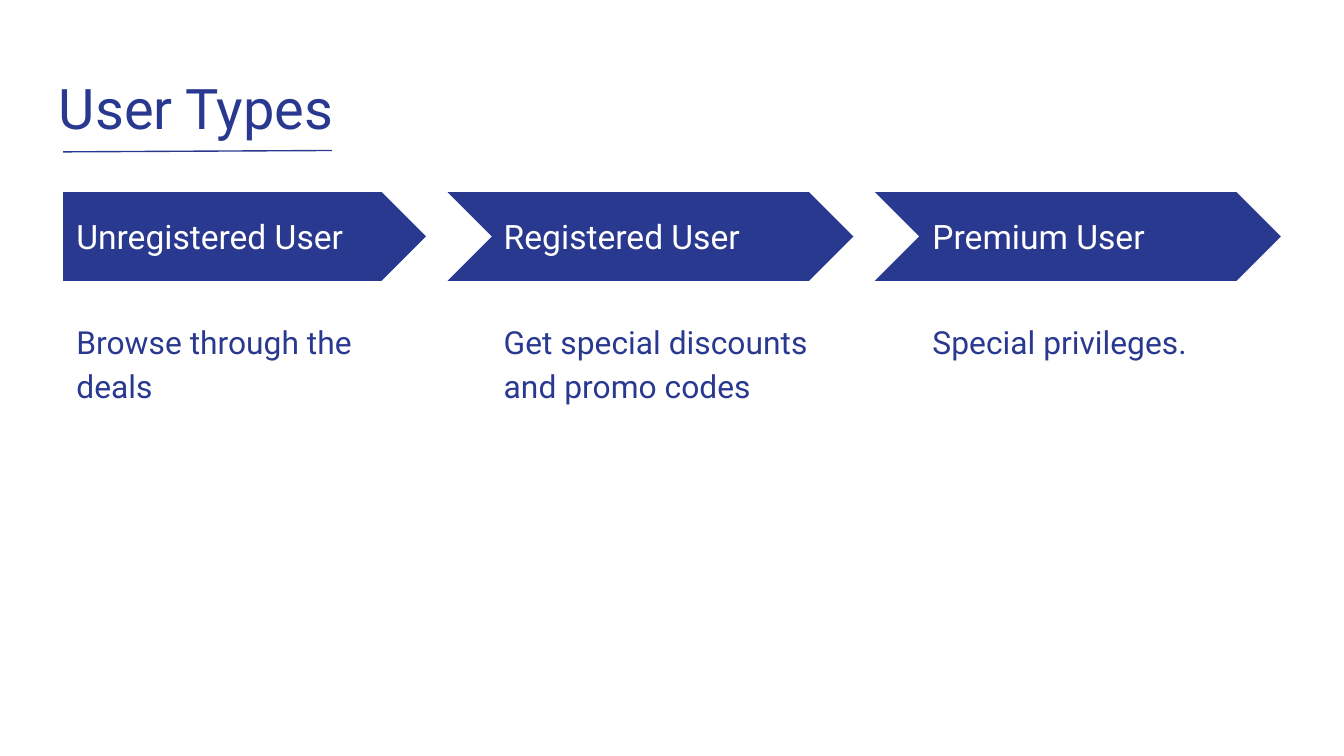
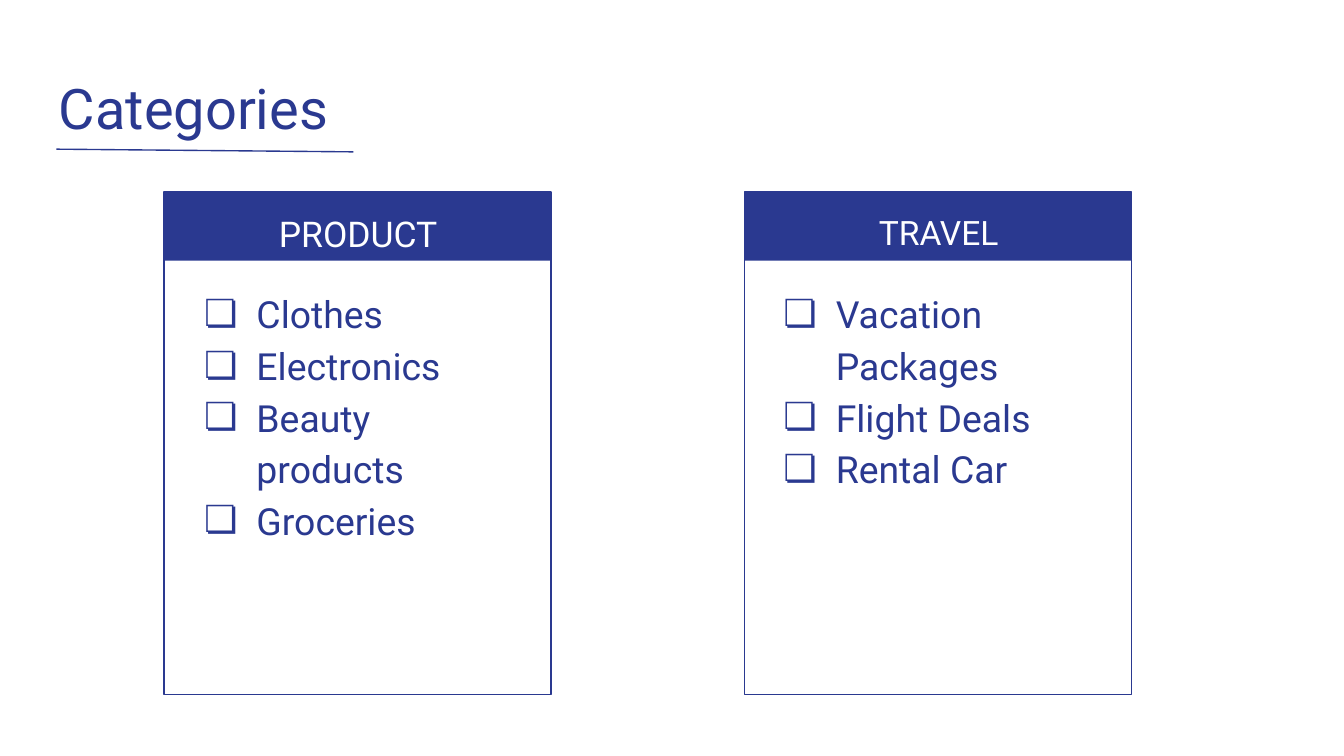
from dataclasses import dataclass
from lxml import etree
from pptx import Presentation, util as u
from pptx.dml.color import RGBColor
from pptx.enum import shapes as sh, text as tx
from pptx.oxml.ns import qn


@dataclass
class Theme:
    blue: RGBColor = RGBColor.from_string("2A3990")
    white: RGBColor = RGBColor.from_string("FFFFFF")
    font: str = "Roboto"
    title: int = 30
    head: int = 18
    body: int = 17
    item: int = 20
    rule: float = 0.75


T = Theme()


def write(sl, box, lines, size, color, space=1.0, after=0,
          align=tx.PP_ALIGN.LEFT, anchor=tx.MSO_ANCHOR.TOP):
    tf = sl.shapes.add_textbox(*map(u.Inches, box)).text_frame
    tf.word_wrap = True
    tf.vertical_anchor = anchor
    tf.margin_left = tf.margin_right = u.Inches(0.1)
    tf.margin_top = tf.margin_bottom = u.Inches(0.1)
    tf.text = "\n".join(lines)
    for p in tf.paragraphs:
        p.alignment = align
        p.line_spacing = space
        p.space_after = u.Pt(after)
        font = p.runs[0].font
        font.name, font.size = T.font, u.Pt(size)
        font.color.rgb = color
    return tf


def block(where, kind, box, solid=True):
    shape = where.shapes.add_shape(kind, *map(u.Inches, box))
    shape.shadow.inherit = False
    if solid:
        shape.fill.solid()
        shape.fill.fore_color.rgb = T.blue
        shape.line.fill.background()
    else:
        shape.fill.background()
        shape.line.color.rgb = T.blue
        shape.line.width = u.Pt(T.rule)
    return shape


# Widescreen, 16:9
prs = Presentation()
prs.slide_width = u.Inches(10)
prs.slide_height = u.Inches(10 * 9 / 16)

# Slides with underlined titles
pages = []
for name, ends in (("User Types", (0.47, 1.13, 2.47, 1.12)),
                   ("Categories", (0.42, 1.11, 2.63, 1.13))):
    sl = prs.slides.add_slide(prs.slide_layouts[6])
    write(sl, (0.34, 0.45, 9.32, 0.66), [name], T.title, T.blue)
    rule = sl.shapes.add_connector(sh.MSO_CONNECTOR.STRAIGHT,
                                   *map(u.Inches, ends))
    rule.line.color.rgb = T.blue
    rule.line.width = u.Pt(T.rule)
    etree.SubElement(rule._element.spPr, qn("a:effectLst"))
    pages.append(sl)
users, groups = pages

# User types: a row of arrows, each with its benefit below
top = 1.43
first, next_ = sh.MSO_SHAPE.PENTAGON, sh.MSO_SHAPE.CHEVRON
steps = (
    (first, 0.47, 2.7, 0.47, "Unregistered User", "Browse through the deals"),
    (next_, 3.33, 3.02, 3.65, "Registered User",
     "Get special discounts and promo codes"),
    (next_, 6.51, 3.02, 6.84, "Premium User", "Special privileges."),
)
for kind, left, wide, col, name, gain in steps:
    arrow = block(users, kind, (left, top, wide, 0.66))
    arrow.adjustments[0] = 0.5
    write(users, (col, 1.59, 2.47, 0.34), [name], T.head, T.white,
          anchor=tx.MSO_ANCHOR.MIDDLE)
    write(users, (col, 2.26, 2.7, 2.9), [gain], T.body, T.blue,
          space=1.15, after=8)

# Categories: framed cards with a header band and a checklist
cards = (
    (1.22, 1.31, "PRODUCT", T.head + 1,
     ["Clothes", "Electronics", "Beauty products", "Groceries"]),
    (5.54, 5.62, "TRAVEL", T.head,
     ["Vacation Packages", "Flight Deals", "Rental Car"]),
)
for left, col, name, size, items in cards:
    card = groups.shapes.add_group_shape()
    block(card, sh.MSO_SHAPE.RECTANGLE, (left, top, 2.88, 0.51))
    block(card, sh.MSO_SHAPE.RECTANGLE, (left, top, 2.88, 3.74), solid=False)
    write(groups, (left + 0.08, top, 2.73, 0.5), [name], size, T.white,
          space=1.15, align=tx.PP_ALIGN.CENTER)
    tf = write(groups, (col, 2.02, 2.71, 3.06), items, T.item, T.blue,
               space=1.15)
    for p in tf.paragraphs:
        ppr = p._p.get_or_add_pPr()
        ppr.set("marL", str(u.Inches(0.5)))
        ppr.set("indent", str(u.Inches(-0.39)))
        tint = etree.SubElement(ppr, qn("a:buClr"))
        etree.SubElement(tint, qn("a:srgbClr"), val=str(T.blue))
        etree.SubElement(ppr, qn("a:buFont"), typeface=T.font)
        etree.SubElement(ppr, qn("a:buChar"), char="❏")

prs.save("out.pptx")
